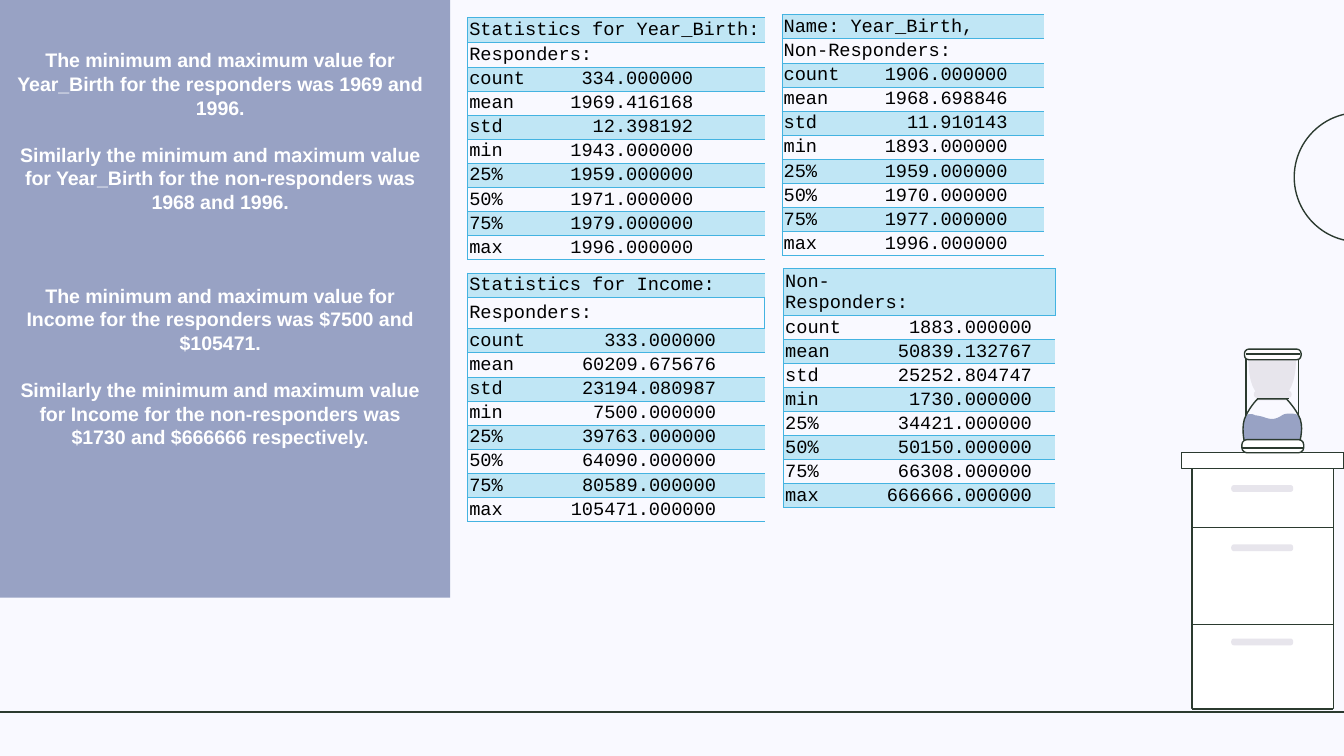
"""Build a slide comparing birth year and income statistics of responders and non-responders."""
import dataclasses

import pptx
import pptx.dml.color
import pptx.enum.shapes
import pptx.enum.text
import pptx.oxml
import pptx.oxml.ns
import pptx.util
from lxml import etree

Cm = pptx.util.Cm
Pt = pptx.util.Pt
Kind = pptx.enum.shapes.MSO_SHAPE
qn = pptx.oxml.ns.qn
rgb = pptx.dml.color.RGBColor.from_string


@dataclasses.dataclass(frozen=True)
class Theme:
    background: str = "F9F9FF"
    panel: str = "98A2C4"
    ink: str = "2B3A2F"
    white: str = "FFFFFF"
    grey: str = "E7E5EC"
    black: str = "000000"
    band: str = "C0E6F5"
    border: str = "44B3E1"
    prose_font: str = "Arial"
    accent_font: str = "Manrope"
    table_font: str = "Courier New"
    prose_size: float = 10.5
    prose_pitch: float = 12.6
    table_size: float = 10
    thin: float = 0.75
    border_width: float = 0.5


theme = Theme()


def paint(shape, fill=None, line=None, width=theme.thin):
    shape.shadow.inherit = False
    if fill:
        shape.fill.solid()
        shape.fill.fore_color.rgb = rgb(fill)
    else:
        shape.fill.background()
    if line:
        shape.line.color.rgb = rgb(line)
        shape.line.width = Pt(width)
    else:
        shape.line.fill.background()


def write(para, text, font, size, color, bold=False):
    span = para.add_run()
    span.text = text
    span.font.name = font
    span.font.size = Pt(size)
    span.font.bold = bold
    span.font.color.rgb = rgb(color)


deck = pptx.Presentation()
deck.slide_width, deck.slide_height = Cm(25.4), Cm(14.29)
page = deck.slides.add_slide(deck.slide_layouts[6])
page.background.fill.solid()
page.background.fill.fore_color.rgb = rgb(theme.background)

presets = [
    (Kind.OVAL, 24.46, 2.13, 2.44, 2.44, None, theme.ink),
    (Kind.RECTANGLE, 23.55, 6.73, 0.99, 1.65, theme.background, theme.ink),
    (Kind.RECTANGLE, 22.53, 8.64, 2.67, 4.76, theme.white, theme.ink),
    (Kind.RECTANGLE, 22.33, 8.56, 3.07, 0.3, theme.white, theme.ink),
    (Kind.RECTANGLE, 0, 0, 8.51, 11.3, theme.panel, None),
    (Kind.ROUNDED_RECTANGLE, 23.7, 7.39, 0.71, 0.13, theme.grey, None),
    (Kind.RECTANGLE, 23.75, 7.49, 0.61, 0.08, theme.grey, None),
]
for handle_top in (9.17, 10.29, 12.07):
    presets.append((Kind.ROUNDED_RECTANGLE, 23.27, handle_top, 1.17, 0.13, theme.grey, None))

lower_sand = [
    (24.38, 7.82),
    [(24.33, 7.82), (24.28, 7.82), (24.23, 7.85)],
    [(24.16, 7.9), (24.1, 7.92), (24.03, 7.92)],
    [(23.95, 7.92), (23.88, 7.87), (23.72, 7.85)],
    [(23.67, 7.82), (23.6, 7.82), (23.55, 7.85)],
    [(23.44, 8.05), (23.52, 8.36), (23.52, 8.36)],
    [(24.56, 8.36)],
    [(24.56, 8.36), (24.64, 8.08), (24.56, 7.87)],
    [(24.51, 7.82), (24.43, 7.82), (24.38, 7.82)],
]
bulb = [
    (23.77, 7.54),
    [(23.77, 7.54), (23.65, 7.65), (23.55, 7.85)],
    [(23.44, 8.05), (23.52, 8.36), (23.52, 8.36)],
    [(24.56, 8.36)],
    [(24.56, 8.36), (24.66, 8.05), (24.54, 7.85)],
    [(24.43, 7.65), (24.31, 7.54), (24.31, 7.54)],
]
upper_sand = [
    (23.6, 6.78),
    [(23.6, 6.78), (23.57, 7.16), (23.72, 7.39)],
    [(24.36, 7.39)],
    [(24.51, 7.16), (24.49, 6.78), (24.49, 6.78)],
]
hourglass_ends = [
    (Kind.ROUNDED_RECTANGLE, 23.52, 6.6, 1.07, 0.2, theme.white, theme.ink),
    (Kind.ROUNDED_RECTANGLE, 23.47, 8.31, 1.17, 0.25, theme.white, theme.ink),
]
outlines = [
    (lower_sand, theme.panel, None),
    (bulb, None, theme.ink),
    (upper_sand, theme.grey, None),
]

for item in presets + outlines + hourglass_ends:
    if len(item) == 7:
        kind, left, top, width, height, fill, line = item
        shape = page.shapes.add_shape(kind, Cm(left), Cm(top), Cm(width), Cm(height))
        if kind == Kind.ROUNDED_RECTANGLE:
            shape.adjustments[0] = 0.4
    else:
        (start, *segments), fill, line = item
        points = [start]
        for segment in segments:
            if len(segment) == 1:
                points += segment
                continue
            corners = [points[-1], *segment]
            for step in range(1, 9):
                t = step / 8
                weights = ((1 - t) ** 3, 3 * t * (1 - t) ** 2, 3 * t * t * (1 - t), t ** 3)
                points.append(tuple(sum(w * c[axis] for w, c in zip(weights, corners)) for axis in (0, 1)))
        builder = page.shapes.build_freeform(Cm(start[0]), Cm(start[1]))
        builder.add_line_segments([(Cm(x), Cm(y)) for x, y in points[1:]], close=True)
        shape = builder.convert_to_shape()
    paint(shape, fill, line)

rules = [(0, 25.4, 13.46), (22.53, 25.2, 9.97), (22.53, 25.2, 11.8), (22.53, 25.2, 13.4),
         (23.55, 24.56, 6.69), (23.47, 24.64, 8.47), (23.75, 24.36, 7.53)]
for start, end, level in rules:
    rule = page.shapes.add_connector(pptx.enum.shapes.MSO_CONNECTOR.STRAIGHT, Cm(start), Cm(level), Cm(end), Cm(level))
    rule.line.color.rgb = rgb(theme.ink)
    rule.line.width = Pt(theme.thin)
    etree.SubElement(rule._element.spPr, qn("a:effectLst"))

findings = [
    (0, ["The minimum and maximum value for Year_Birth for the responders was 1969 and 1996."]),
    (1, ["Similarly the minimum and ", "maxi", "mum value for Year_Birth for the non-responders was 1968 and 1996."]),
    (3, ["The minimum and maximum value for Income for the responders was $7500 and $105471."]),
    (1, ["Similarly the minimum and maximum value for Income for the non-responders was $1730 and $666666 respectively."]),
]
box = page.shapes.add_textbox(Cm(-0.05), Cm(0.79), Cm(8.43), Cm(9.19))
frame = box.text_frame
frame.word_wrap = True
for index, (gap, pieces) in enumerate(findings):
    para = frame.add_paragraph() if index else frame.paragraphs[0]
    para.alignment = pptx.enum.text.PP_ALIGN.CENTER
    para.line_spacing = Pt(theme.prose_pitch)
    if gap:
        para.space_before = Pt(gap * theme.prose_pitch)
    for piece in pieces:
        font = theme.accent_font if piece == "maxi" else theme.prose_font
        write(para, piece, font, theme.prose_size, theme.white, bold=True)

labels = ["count", "mean", "std", "min", "25%", "50%", "75%", "max"]
tables = [
    (14.78, 0.28, [4.95], 4.23, [("Name: Year_Birth,", 0.42), ("Non-Responders:", 0.42)],
     "1906.000000 1968.698846 11.910143 1893.000000 1959.000000 1970.000000 1977.000000 1996.000000"),
    (8.84, 0.33, [5.61], 4.23, [("Statistics for Year_Birth:", 0.48), ("Responders:", 0.42)],
     "334.000000 1969.416168 12.398192 1943.000000 1959.000000 1971.000000 1979.000000 1996.000000"),
    (8.84, 5.16, [3.68, 1.93], 4.66, [("Statistics for Income:", 0.42), ("Responders:", 0.6)],
     "333.000000 60209.675676 23194.080987 7500.000000 39763.000000 64090.000000 80589.000000 105471.000000"),
    (14.81, 5.08, [3.07, 2.06], 4.66, [("Non-Responders:", 0.81)],
     "1883.000000 50839.132767 25252.804747 1730.000000 34421.000000 50150.000000 66308.000000 666666.000000"),
]
for left, top, widths, tab, headers, values in tables:
    rows = headers + [(f"{label}\t{value}", 0.42) for label, value in zip(labels, values.split())]
    height = sum(row_height for _, row_height in rows)
    grid = page.shapes.add_table(len(rows), len(widths), Cm(left), Cm(top), Cm(sum(widths)), Cm(height)).table
    grid.first_row = grid.horz_banding = False
    grid._tbl.tblPr.find(qn("a:tableStyleId")).text = "{2D5ABB26-0587-4C30-8999-92F81FD0307C}"
    for column, width in zip(grid.columns, widths):
        column.width = Cm(width)
    for index, (text, row_height) in enumerate(rows):
        grid.rows[index].height = Cm(row_height)
        split = index == len(headers) - 1
        if not split:
            grid.cell(index, 0).merge(grid.cell(index, len(widths) - 1))
        for position in range(len(widths)):
            cell = grid.cell(index, position)
            cell.margin_left = cell.margin_right = cell.margin_top = Cm(0.03)
            cell.margin_bottom = 0
            cell.vertical_anchor = pptx.enum.text.MSO_ANCHOR.MIDDLE
            for side in ("R", "T", "B") if position else ("L", "T", "B"):
                if side == "R" and not split:
                    continue
                edge = etree.SubElement(cell._tc.get_or_add_tcPr(), qn(f"a:ln{side}"), w=str(Pt(theme.border_width)))
                etree.SubElement(etree.SubElement(edge, qn("a:solidFill")), qn("a:srgbClr"), val=theme.border)
            if index % 2:
                cell.fill.background()
            else:
                cell.fill.solid()
                cell.fill.fore_color.rgb = rgb(theme.band)
            para = cell.text_frame.paragraphs[0]
            if position:
                etree.SubElement(para._p, qn("a:endParaRPr"), sz=str(theme.table_size * 100))
                continue
            if "\t" in text:
                tabs = etree.SubElement(para._p.get_or_add_pPr(), qn("a:tabLst"))
                etree.SubElement(tabs, qn("a:tab"), pos=str(Cm(tab)), algn="r")
            write(para, text, theme.table_font, theme.table_size, theme.black)

deck.save("out.pptx")
